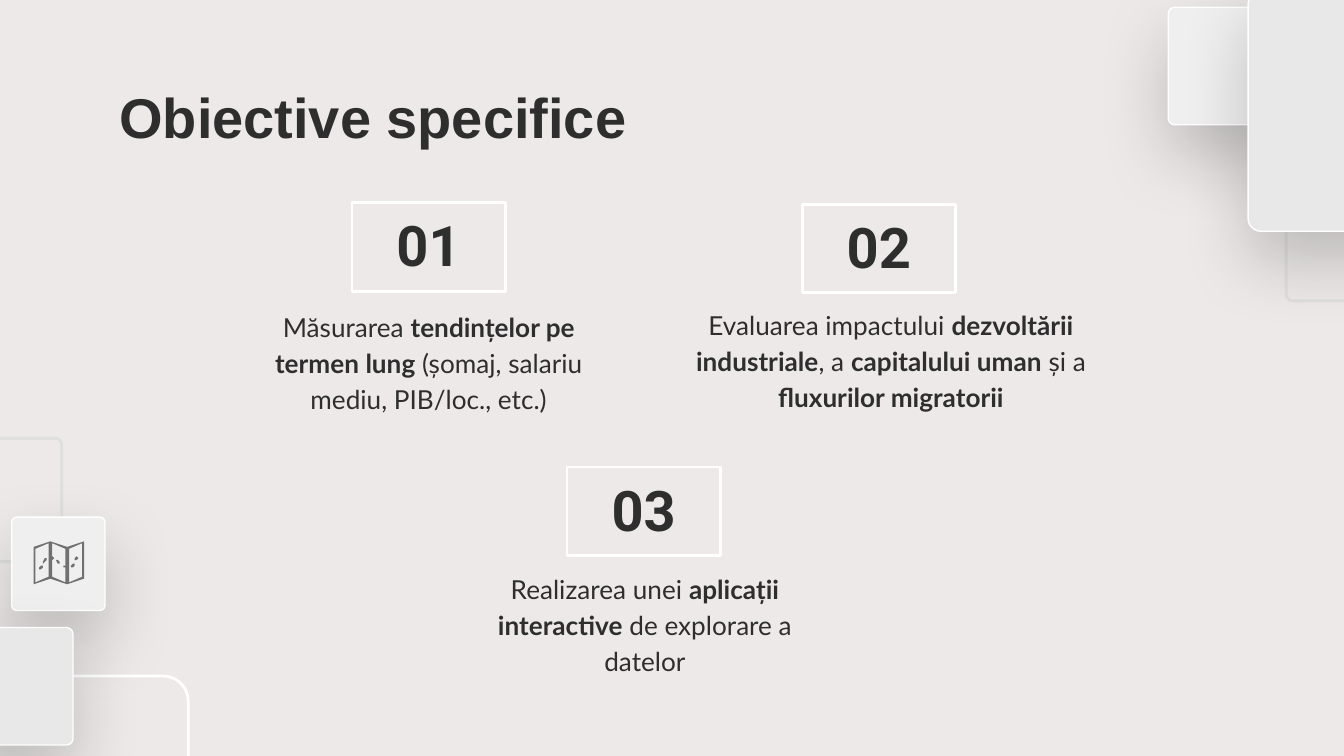
from lxml import etree
from pptx import Presentation
from pptx.dml.color import RGBColor
from pptx.enum.shapes import MSO_SHAPE
from pptx.enum.text import MSO_ANCHOR, PP_ALIGN
from pptx.oxml.ns import qn
from pptx.util import Pt

RECT, ROUNDED = MSO_SHAPE.RECTANGLE, MSO_SHAPE.ROUNDED_RECTANGLE
TOP, BOTTOM = MSO_ANCHOR.TOP, MSO_ANCHOR.BOTTOM
LEFT, CENTER = PP_ALIGN.LEFT, PP_ALIGN.CENTER

BACKGROUND = RGBColor(0xED, 0xE9, 0xE9)
INK = RGBColor(0x2E, 0x2E, 0x2E)
WHITE = RGBColor(0xFF, 0xFF, 0xFF)
PALE = RGBColor(0xEF, 0xEF, 0xEF)
LIGHT = RGBColor(0xE8, 0xE8, 0xE8)
OUTLINE = RGBColor(0xDF, 0xDF, 0xDF)
ICON = RGBColor(0x70, 0x70, 0x70)


class Deck:
    """Holds the style and the current slide; lengths are in points."""

    inset = 7.2
    corner = 0.054

    def __init__(self, slide):
        self.shapes = slide.shapes
        slide.background.fill.solid()
        slide.background.fill.fore_color.rgb = BACKGROUND

    def frame(self, kind, box, line, weight, fill=None):
        shape = self.shapes.add_shape(kind, *map(Pt, box))
        shape.shadow.inherit = False
        if fill is None:
            shape.fill.background()
        else:
            shape.fill.solid()
            shape.fill.fore_color.rgb = fill
        shape.line.color.rgb = line
        shape.line.width = Pt(weight)
        return shape

    def outline(self, box, color, corner=corner):
        tile = self.frame(ROUNDED, box, color, 1.5)
        tile.adjustments[0] = corner

    def raised_tile(self, box, fill):
        tile = self.frame(ROUNDED, box, WHITE, 0.75, fill)
        tile.adjustments[0] = self.corner
        effects = tile._element.spPr.find(qn("a:effectLst"))
        shadow = etree.SubElement(
            effects, qn("a:outerShdw"), blurRad=str(Pt(38.2)), dist=str(Pt(15.8)),
            dir="5400000", algn="bl", rotWithShape="0")
        color = etree.SubElement(shadow, qn("a:srgbClr"), val="000000")
        etree.SubElement(color, qn("a:alpha"), val="20000")

    def set_text(self, shape, text, font, size, align, anchor=TOP, bold=None,
                 spacing=None, top=inset):
        """Fill in one paragraph; parts between asterisks are bold."""
        frame = shape.text_frame
        frame.word_wrap = True
        frame.vertical_anchor = anchor
        frame.margin_left = frame.margin_right = frame.margin_bottom = Pt(self.inset)
        frame.margin_top = Pt(top)
        paragraph = frame.paragraphs[0]
        paragraph.alignment = align
        paragraph.line_spacing = spacing
        paragraph.font.name = font
        paragraph.font.size = Pt(size)
        paragraph.font.bold = bold
        paragraph.font.color.rgb = INK
        for index, part in enumerate(text.split("*")):
            if part:
                run = paragraph.add_run()
                run.text = part
                if index % 2:
                    run.font.bold = True

    def text(self, box, text, *style, **options):
        self.set_text(self.shapes.add_textbox(*map(Pt, box)), text, *style, **options)

    def number(self, box, text):
        shape = self.frame(RECT, box, WHITE, 1.5)
        self.set_text(shape, text, "Roboto", 30, CENTER, BOTTOM, bold=True)

    def polygon(self, contours, color):
        """Fill closed contours; inner contours become holes."""
        first, *holes = contours
        builder = self.shapes.build_freeform(*first[0], scale=Pt(1))
        builder.add_line_segments(first[1:], close=True)
        for hole in holes:
            builder.move_to(*hole[0])
            builder.add_line_segments(hole[1:], close=True)
        shape = builder.convert_to_shape()
        shape.shadow.inherit = False
        shape.fill.solid()
        shape.fill.fore_color.rgb = color
        shape.line.fill.background()

    def dash(self, start, end, half=0.65):
        """A short thick stroke of the dotted route."""
        (x1, y1), (x2, y2) = start, end
        length = ((x2 - x1) ** 2 + (y2 - y1) ** 2) ** 0.5
        dx, dy = half * (x2 - x1) / length, half * (y2 - y1) / length
        self.polygon([[(x1 - dy, y1 + dx), (x1 - dx, y1 - dy), (x1 + dy, y1 - dx),
                       (x2 + dy, y2 - dx), (x2 + dx, y2 + dy), (x2 - dy, y2 + dx)]],
                     ICON)


def main():
    deck_file = Presentation()
    deck_file.slide_width, deck_file.slide_height = Pt(720), Pt(405)
    deck = Deck(deck_file.slides.add_slide(deck_file.slide_layouts[6]))

    # Corner decoration, bottom left
    deck.outline((-33.1, 234.7, 66.2, 66.2), OUTLINE)
    deck.raised_tile((6.3, 277.1, 50, 50), PALE)
    deck.outline((-27.4, 362.2, 128.2, 60.5), WHITE, 0.221)
    deck.raised_tile((-23.8, 336.2, 62.9, 62.9), LIGHT)

    # Corner decoration, top right
    deck.outline((689, 95, 66.2, 66.2), OUTLINE)
    deck.raised_tile((625.9, 3.9, 62.9, 62.9), PALE)
    deck.raised_tile((668.6, -4.3, 128.2, 128.2), LIGHT)

    # Title
    deck.text((56.9, 34.6, 607, 49.7), "Obiective specifice",
              "Arial", 30, LEFT, bold=True, top=9.6)

    # Objectives: number position, then text left, top and width
    objectives = [
        (188.6, 108.7, 128.2, 157, 203,
         "Măsurarea *tendințelor pe termen lung* (șomaj, salariu mediu, PIB/loc., etc.)"),
        (429.8, 109.4, 364.3, 156.2, 226.1,
         "Evaluarea impactului *dezvoltării industriale*, a *capitalului uman*"
         " și a *fluxurilor migratorii*"),
        (303.8, 250.2, 253.4, 297.4, 184.3,
         "Realizarea unei *aplicații interactive* de explorare a datelor"),
    ]
    for order, (x, y, text_x, text_y, width, goal) in enumerate(objectives, 1):
        deck.number((x, y, 82.1, 47.5), f"{order:02d}")
        deck.text((text_x, text_y, width, 47.5), goal, "Lato", 14, CENTER, spacing=1.15)

    # Folded map icon: outline with three panels cut out
    folds = [(18, 293), (26.7, 290), (36, 293), (44.7, 290)]
    sheet = folds + [(x, y + 20.3) for x, y in reversed(folds)]
    panels = []
    for (x1, y1), (x2, y2) in zip(folds, folds[1:]):
        x1, x2, y1, y2 = x1 + 1, x2 - 0.8, y1 + 1.3, y2 + 1.3
        panels.append([(x1, y1), (x1, y1 + 17.7), (x2, y2 + 17.7), (x2, y2)])
    deck.polygon([sheet, *panels], ICON)

    # Dotted route on the map
    route = [((21.7, 304.7), (22.4, 303.6)), ((23.3, 301.1), (24.3, 299.7)),
             ((27.4, 298.7), (28.2, 298.9)), ((30.7, 300.1), (31.7, 301.7)),
             ((34.1, 303.3), (35.2, 303.9)), ((38.2, 303.3), (39.5, 302.1)),
             ((40.5, 299.5), (41.1, 298.5))]
    for start, end in route:
        deck.dash(start, end)

    deck_file.save("out.pptx")


if __name__ == "__main__":
    main()
